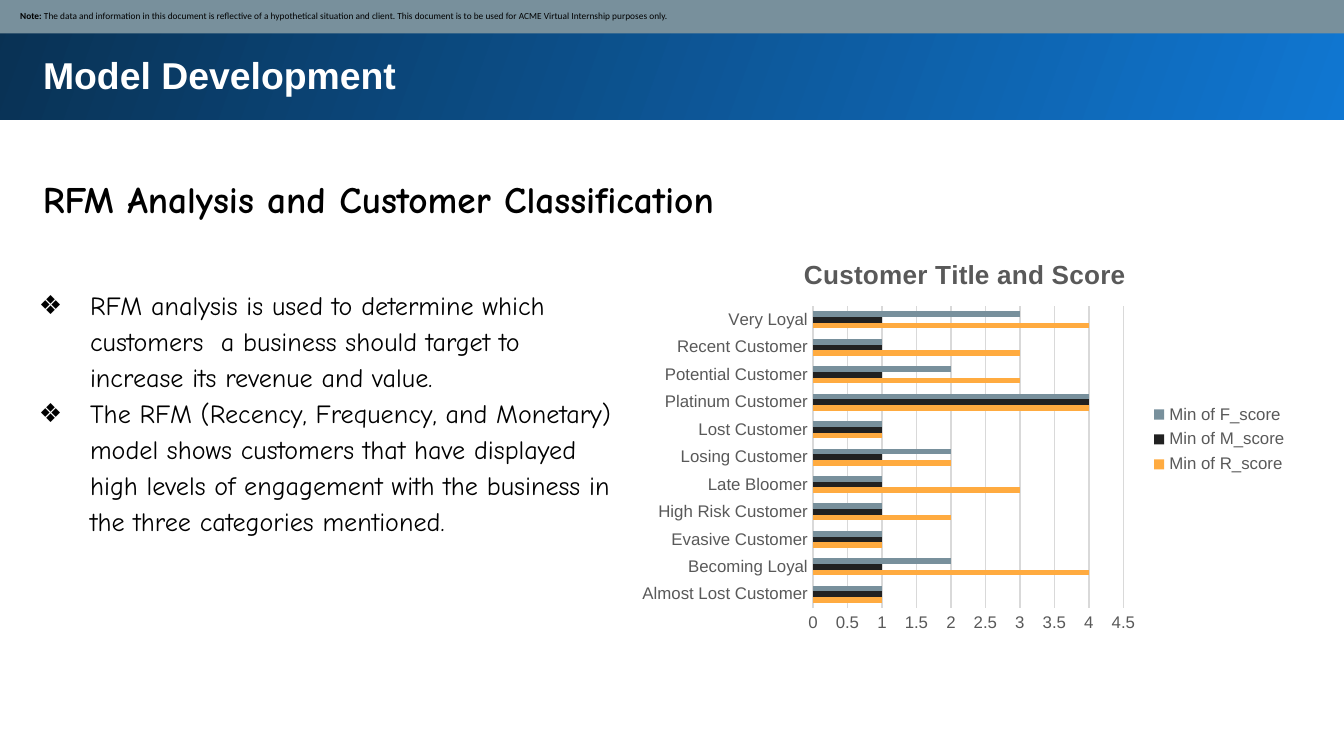
from lxml import etree
from pptx import Presentation
from pptx.chart.data import CategoryChartData
from pptx.dml.color import RGBColor
from pptx.enum.chart import XL_CHART_TYPE, XL_LEGEND_POSITION, XL_TICK_MARK
from pptx.enum.shapes import MSO_SHAPE
from pptx.enum.text import MSO_ANCHOR, MSO_AUTO_SIZE, PP_ALIGN
from pptx.oxml.ns import qn
from pptx.util import Inches, Pt

BAR_CLUSTERED = XL_CHART_TYPE.BAR_CLUSTERED
LEGEND_RIGHT = XL_LEGEND_POSITION.RIGHT
NO_TICK = XL_TICK_MARK.NONE
RECTANGLE = MSO_SHAPE.RECTANGLE
TOP, MIDDLE = MSO_ANCHOR.TOP, MSO_ANCHOR.MIDDLE
NO_AUTOFIT = MSO_AUTO_SIZE.NONE
LEFT = PP_ALIGN.LEFT

BLACK = RGBColor(0x00, 0x00, 0x00)
WHITE = RGBColor(0xFF, 0xFF, 0xFF)
BRIGHT_BLUE = RGBColor(0x10, 0x77, 0xD2)
NAVY = RGBColor(0x09, 0x31, 0x53)
SLATE = RGBColor(0x78, 0x90, 0x9C)
CHARCOAL = RGBColor(0x21, 0x21, 0x21)
ORANGE = RGBColor(0xFF, 0xAB, 0x40)
CHART_TEXT = RGBColor(0x59, 0x59, 0x59)
CHART_LINE = RGBColor(0xD9, 0xD9, 0xD9)

BULLETS = [
    "RFM analysis is used to determine which customers  a business should "
    "target to increase its revenue and value.",
    "The RFM (Recency, Frequency, and Monetary) model shows customers that "
    "have displayed high levels of engagement with the business in the three "
    "categories mentioned.",
]
NOTE = ("The data and information in this document is reflective of a "
        "hypothetical situation and client. This document is to be used for "
        "ACME Virtual Internship purposes only.")
# Customer title: lowest recency, monetary and frequency score
SCORES = {
    "Almost Lost Customer": (1, 1, 1),
    "Becoming Loyal": (4, 1, 2),
    "Evasive Customer": (1, 1, 1),
    "High Risk Customer": (2, 1, 1),
    "Late Bloomer": (3, 1, 1),
    "Losing Customer": (2, 1, 2),
    "Lost Customer": (1, 1, 1),
    "Platinum Customer": (4, 4, 4),
    "Potential Customer": (3, 1, 2),
    "Recent Customer": (3, 1, 1),
    "Very Loyal": (4, 1, 3),
}
SERIES_COLORS = {"Min of R_score": ORANGE, "Min of M_score": CHARCOAL,
                 "Min of F_score": SLATE}


def apply(target, values):
    for name, value in values.items():
        setattr(target, name, value)


class SlideBuilder:
    """Holds the style and the current slide."""

    title_style = {"name": "Arial", "size": Pt(20), "bold": True}
    heading_style = {"name": "Comic Neue", "size": Pt(20), "bold": True}
    body_style = {"name": "Comic Neue", "size": Pt(14), "bold": False}
    note_style = {"name": "Calibri", "size": Pt(5)}
    chart_style = {"name": "Arial", "size": Pt(9), "bold": False}
    chart_title_style = {"name": "Arial", "size": Pt(14), "bold": True}

    def __init__(self, slide):
        self.slide = slide

    def font(self, font, style, color):
        apply(font, style)
        font.color.rgb = color

    def place(self, shape, left, top, width, height):
        apply(shape, {"left": Inches(left), "top": Inches(top),
                      "width": Inches(width), "height": Inches(height)})

    def frame(self, shape, inset=0.1, anchor=TOP):
        frame = shape.text_frame
        sides = ("left", "top", "right", "bottom")
        apply(frame, {f"margin_{side}": Inches(inset) for side in sides})
        apply(frame, {"word_wrap": True, "auto_size": NO_AUTOFIT,
                      "vertical_anchor": anchor})
        return frame

    def run(self, paragraph, text, style, color):
        run = paragraph.add_run()
        run.text = text
        self.font(run.font, style, color)

    def line(self, shape, text, style, color, spacing=1.0):
        paragraph = self.frame(shape).paragraphs[0]
        apply(paragraph, {"alignment": LEFT, "line_spacing": spacing})
        self.run(paragraph, text, style, color)

    def band(self, *box):
        shape = self.slide.shapes.add_shape(RECTANGLE, *map(Inches, box))
        shape.shadow.inherit = False
        shape.line.fill.background()
        return shape

    def title(self, text, *box):
        title = self.slide.shapes.title
        self.place(title, *box)
        self.line(title, text, self.title_style, WHITE)
        return title

    def heading(self, text, *box):
        shape = self.slide.shapes.add_textbox(*map(Inches, box))
        self.line(shape, text, self.heading_style, BLACK, 1.15)

    def bullets(self, items, *box):
        body = self.slide.placeholders[1]
        self.place(body, *box)
        frame = self.frame(body)
        for index, text in enumerate(items):
            paragraph = frame.add_paragraph() if index else frame.paragraphs[0]
            apply(paragraph, {"alignment": LEFT, "line_spacing": 1.15,
                              "space_before": Pt(0)})
            self.run(paragraph, text, self.body_style, BLACK)
            properties = paragraph._p.get_or_add_pPr()
            properties.set("marL", str(Inches(0.38)))
            properties.set("indent", str(-Inches(0.38)))
            etree.SubElement(properties, qn("a:buChar"), char="❖")

    def gradient_band(self, *box):
        fill = self.band(*box).fill
        fill.gradient()
        fill.gradient_angle = 160
        for stop, color in zip(fill.gradient_stops, (BRIGHT_BLUE, NAVY)):
            stop.color.rgb = color

    def note_bar(self, label, text, *box):
        shape = self.band(*box)
        shape.fill.solid()
        shape.fill.fore_color.rgb = SLATE
        frame = self.frame(shape, 0.05, MIDDLE)
        frame.margin_left = Inches(0.16)
        paragraph = frame.paragraphs[0]
        paragraph.alignment = LEFT
        self.run(paragraph, label, {**self.note_style, "bold": True}, BLACK)
        self.run(paragraph, text, self.note_style, BLACK)

    def bar_chart(self, title, scores, colors, *box):
        data = CategoryChartData()
        data.categories = list(scores)
        for name, values in zip(colors, zip(*scores.values())):
            data.add_series(name, values)
        chart = self.slide.shapes.add_chart(
            BAR_CLUSTERED, *map(Inches, box), data).chart
        self.font(chart.font, self.chart_style, CHART_TEXT)

        # Title and legend
        paragraph = chart.chart_title.text_frame.paragraphs[0]
        self.run(paragraph, title, self.chart_title_style, CHART_TEXT)
        chart.has_legend = True
        apply(chart.legend, {"position": LEGEND_RIGHT,
                             "include_in_layout": False})
        self.font(chart.legend.font, self.chart_style, CHART_TEXT)

        # Bars
        plot = chart.plots[0]
        apply(plot, {"gap_width": 182, "overlap": 0,
                     "vary_by_categories": False})
        for series in plot.series:
            series.format.fill.solid()
            series.format.fill.fore_color.rgb = colors[series.name]

        # Axes
        category_axis, value_axis = chart.category_axis, chart.value_axis
        for axis in (category_axis, value_axis):
            apply(axis, {"major_tick_mark": NO_TICK,
                         "minor_tick_mark": NO_TICK})
            self.font(axis.tick_labels.font, self.chart_style, CHART_TEXT)
        apply(value_axis, {"minimum_scale": 0, "maximum_scale": 4.5,
                           "major_unit": 0.5, "has_major_gridlines": True})
        value_axis.format.line.fill.background()
        for part in (category_axis, value_axis.major_gridlines):
            part.format.line.color.rgb = CHART_LINE
            part.format.line.width = Pt(0.75)


def main():
    # Widescreen, 16:9
    presentation = Presentation()
    presentation.slide_width = Inches(10)
    presentation.slide_height = Inches(10) * 9 // 16
    slide = presentation.slides.add_slide(presentation.slide_layouts[1])
    builder = SlideBuilder(slide)

    # Header, with the title brought in front of its band
    builder.gradient_band(-0.02, -0.03, 10.05, 0.92)
    title = builder.title("Model Development", 0.22, 0.29, 9.37, 0.54)
    slide.shapes._spTree.append(title._element)
    builder.note_bar("Note: ", NOTE, -0.01, -0.01, 10.03, 0.26)

    # Content
    builder.heading("RFM Analysis and Customer Classification",
                    0.22, 1.16, 9.37, 0.56)
    builder.bullets(BULLETS, 0.19, 2.02, 4.52, 2.35)
    builder.bar_chart("Customer Title and Score", SCORES, SERIES_COLORS,
                      4.68, 1.77, 5, 3)

    presentation.save("out.pptx")


if __name__ == "__main__":
    main()
